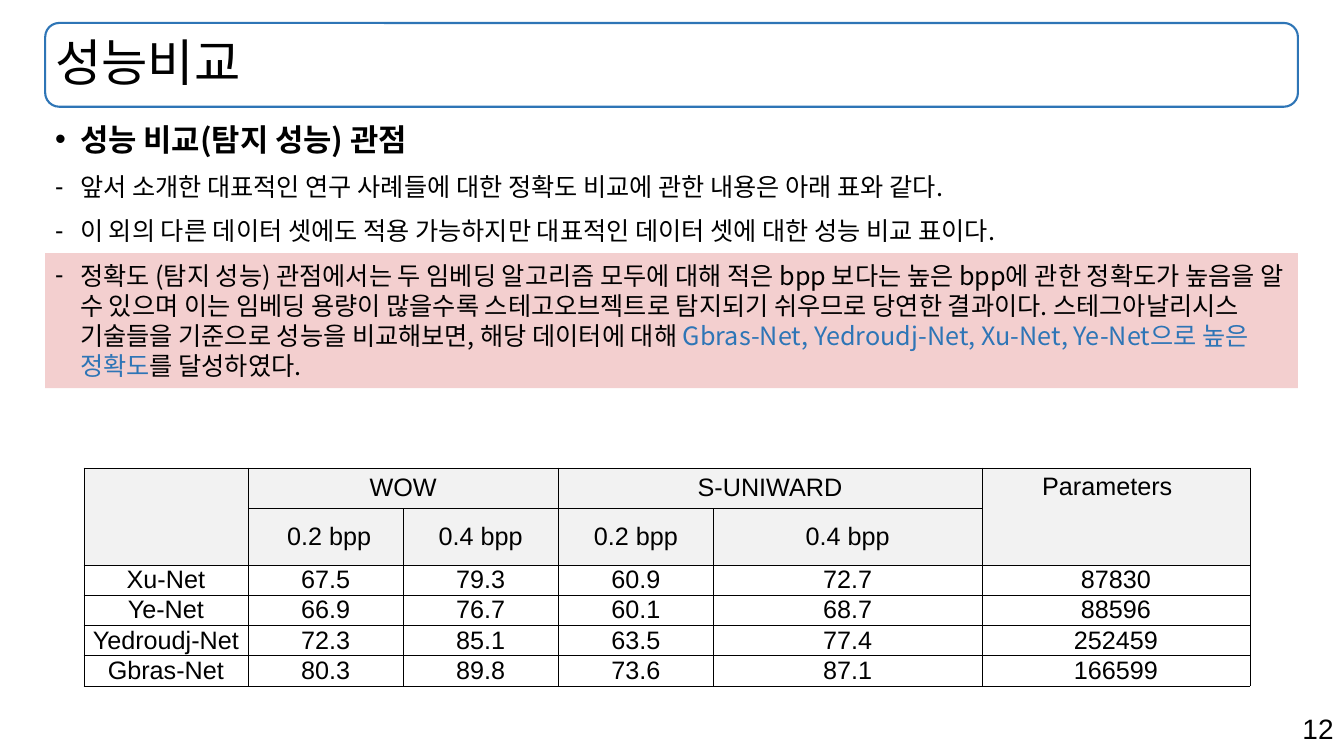
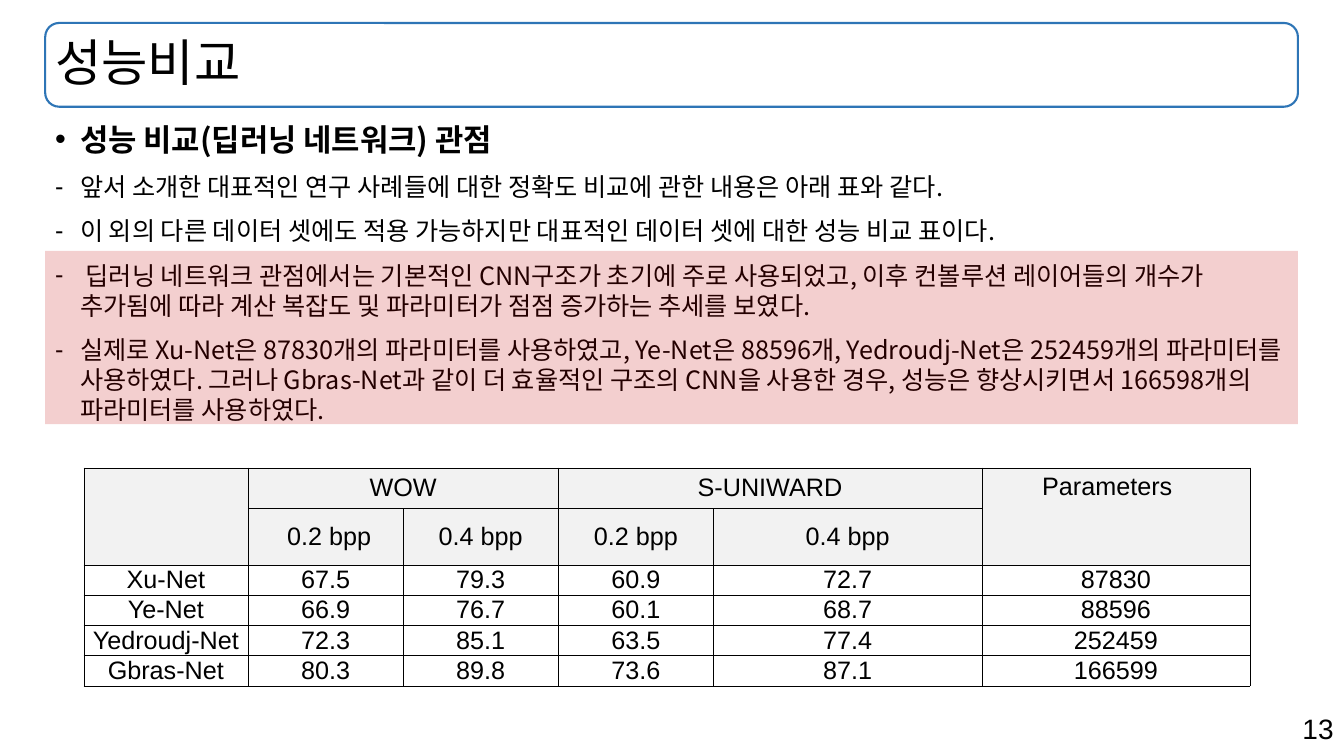
from lxml.etree import SubElement
from pptx import Presentation
from pptx.dml.color import RGBColor
from pptx.enum.shapes import MSO_SHAPE
from pptx.enum.text import MSO_ANCHOR, PP_ALIGN
from pptx.oxml.ns import qn
from pptx.util import Cm, Pt

COLORS = {
    "text": "000000",
    "accent": "2E75B6",
    "highlight": "C00000",
    "header": "F2F2F2",
    "border": "000000",
}
LATIN = "Arial"
KOREAN = "Noto Sans CJK KR"
LEFT, WIDTH = Cm(1.14), Cm(31.57)
TITLE_AREA = (LEFT, Cm(0.58), WIDTH, Cm(2.11))
BODY_AREA = (LEFT, Cm(3), WIDTH, Cm(15.57))
NUMBER_AREA = (Cm(23.95), Cm(17.81), Cm(9.91), Cm(1.12))

COLUMN_WIDTHS = [4.14, 3.91, 3.91, 3.91, 6.76, 6.76]
ROW_HEIGHTS = [1.02, 1.42] + [0.76] * 4
HEADER_ROWS = 2
RESULTS = [
    ["", "WOW", "", "S-UNIWARD", "", "Parameters"],
    ["", "\u00a00.2 bpp", "0.4 bpp", "0.2 bpp", "0.4 bpp", ""],
    ["Xu-Net", "67.5", "79.3", "60.9", "72.7", "87830"],
    ["Ye-Net", "66.9", "76.7", "60.1", "68.7", "88596"],
    ["Yedroudj-Net", "72.3", "85.1", "63.5", "77.4", "252459"],
    ["Gbras-Net", "80.3", "89.8", "73.6", "87.1", "166599"],
]
MERGES = [((0, 0), (1, 0)), ((0, 1), (0, 2)), ((0, 3), (0, 4)), ((0, 5), (1, 5))]

SHARED_POINTS = [
    "앞서 소개한 대표적인 연구 사례들에 대한 정확도 비교에 관한 내용은 아래 표와 같다.",
    "이 외의 다른 데이터 셋에도 적용 가능하지만 대표적인 데이터 셋에 대한 성능 비교 표이다.",
]
ACCURACY_POINTS = [
    [
        ("정확도 (탐지 성능) 관점에서는 두 임베딩 알고리즘 모두에 대해 적은 bpp 보다는 높은 bpp에 관한 "
         "정확도가 높음을 알 수 있으며 이는 임베딩 용량이 많을수록 스테고오브젝트로 탐지되기 쉬우므로 "
         "당연한 결과이다. 스테그아날리시스 기술들을 기준으로 성능을 비교해보면, 해당 데이터에 대해 ", "text"),
        ("Gbras-Net, Yedroudj-Net, Xu-Net, Ye-Net으로 높은 정확도", "accent"),
        ("를 달성하였다.", "text"),
    ],
]
NETWORK_POINTS = [
    " 딥러닝 네트워크 관점에서는 기본적인 CNN구조가 초기에 주로 사용되었고, 이후 컨볼루션 레이어들의 "
    "개수가 추가됨에 따라 계산 복잡도 및 파라미터가 점점 증가하는 추세를 보였다.",
    "실제로 Xu-Net은 87830개의 파라미터를 사용하였고, Ye-Net은 88596개, Yedroudj-Net은 "
    "252459개의 파라미터를 사용하였다. 그러나 Gbras-Net과 같이 더 효율적인 구조의 CNN을 사용한 경우, "
    "성능은 향상시키면서 166598개의 파라미터를 사용하였다.",
]


def color(name):
    return RGBColor.from_string(COLORS[name])


def write(paragraph, text, size=18, font=LATIN, bold=False, ink="text",
          align=None, spacing=None, before=None, bullet=None, indent=None):
    if align is not None:
        paragraph.alignment = align
    if spacing is not None:
        paragraph.line_spacing = spacing
    if before is not None:
        paragraph.space_before = before
    properties = paragraph._p.get_or_add_pPr()
    if indent is not None:
        properties.set("marL", str(indent))
        properties.set("indent", str(-indent if bullet else 0))
    if bullet:
        SubElement(properties, qn("a:buFont"), typeface=LATIN)
        SubElement(properties, qn("a:buChar"), char=bullet)
    pieces = [(text, ink)] if isinstance(text, str) else text
    for words, shade in pieces:
        span = paragraph.add_run()
        span.text = words
        span.font.size = Pt(size)
        span.font.bold = bold
        span.font.name = font
        span.font.color.rgb = color(shade)
        SubElement(span._r.get_or_add_rPr(), qn("a:ea"), typeface=KOREAN)


def add_text_box(page, area, anchor=MSO_ANCHOR.TOP):
    frame = page.shapes.add_textbox(*area).text_frame
    frame.word_wrap = True
    frame.vertical_anchor = anchor
    return frame


def add_frame(page, number):
    outline = page.shapes.add_shape(MSO_SHAPE.ROUNDED_RECTANGLE, *TITLE_AREA)
    outline.shadow.inherit = False
    outline.fill.background()
    outline.line.color.rgb = color("accent")
    outline.line.width = Pt(1.5)
    title = add_text_box(page, TITLE_AREA, MSO_ANCHOR.MIDDLE)
    write(title.paragraphs[0], "성능비교", size=36, spacing=0.9)
    footer = add_text_box(page, NUMBER_AREA)
    write(footer.paragraphs[0], str(number), size=20, align=PP_ALIGN.RIGHT)


def add_highlight(page, top, height):
    band = page.shapes.add_shape(MSO_SHAPE.RECTANGLE, LEFT, Cm(top), WIDTH, Cm(height))
    band.shadow.inherit = False
    band.line.fill.background()
    band.fill.solid()
    band.fill.fore_color.rgb = color("highlight")
    shade = band._element.spPr.find(qn("a:solidFill"))[0]
    SubElement(shade, qn("a:alpha"), val="19000")


def add_body(page, heading, points):
    frame = add_text_box(page, BODY_AREA)
    indent = Cm(0.63)
    write(frame.paragraphs[0], heading, size=22, font=KOREAN, bold=True,
          spacing=Pt(23.8), bullet="•", indent=indent)
    for point in SHARED_POINTS + points:
        write(frame.add_paragraph(), point, font=KOREAN, spacing=Pt(21.6),
              before=Pt(10), bullet="-", indent=indent)


def add_borders(cell):
    properties = cell._tc.get_or_add_tcPr()
    for side in ("lnL", "lnR", "lnT", "lnB"):
        line = SubElement(properties, qn(f"a:{side}"), w=str(Pt(0.25)))
        fill = SubElement(line, qn("a:solidFill"))
        SubElement(fill, qn("a:srgbClr"), val=COLORS["border"])


def format_cell(cell, text, header):
    add_borders(cell)
    if header:
        cell.fill.solid()
        cell.fill.fore_color.rgb = color("header")
    else:
        cell.fill.background()
    paragraph = cell.text_frame.paragraphs[0]
    if text == "Parameters":
        write(paragraph, text, indent=Cm(1.27))
        return
    cell.vertical_anchor = MSO_ANCHOR.MIDDLE
    cell.margin_left = cell.margin_right = Cm(0.13)
    cell.margin_top = cell.margin_bottom = 0
    if text:
        write(paragraph, text, align=PP_ALIGN.CENTER)


def add_results(page):
    table = page.shapes.add_table(
        len(ROW_HEIGHTS), len(COLUMN_WIDTHS), Cm(2.11), Cm(11.79),
        Cm(sum(COLUMN_WIDTHS)), Cm(sum(ROW_HEIGHTS))).table
    table.first_row = table.horz_banding = False
    for column, width in zip(table.columns, COLUMN_WIDTHS):
        column.width = Cm(width)
    for row, height in zip(table.rows, ROW_HEIGHTS):
        row.height = Cm(height)
    for start, end in MERGES:
        table.cell(*start).merge(table.cell(*end))
    for row, texts in enumerate(RESULTS):
        for column, text in enumerate(texts):
            format_cell(table.cell(row, column), text, row < HEADER_ROWS)


def add_page(deck, number):
    page = deck.slides.add_slide(deck.slide_layouts[6])
    add_frame(page, number)
    return page


def main():
    deck = Presentation()
    deck.slide_width, deck.slide_height = Cm(33.87), Cm(19.05)

    accuracy = add_page(deck, 12)
    add_highlight(accuracy, 6.38, 3.4)
    add_body(accuracy, "성능 비교(탐지 성능) 관점", ACCURACY_POINTS)
    add_results(accuracy)

    network = add_page(deck, 13)
    add_body(network, "성능 비교(딥러닝 네트워크) 관점", NETWORK_POINTS)
    add_highlight(network, 6.32, 4.37)
    add_results(network)

    deck.save("out.pptx")


if __name__ == "__main__":
    main()
